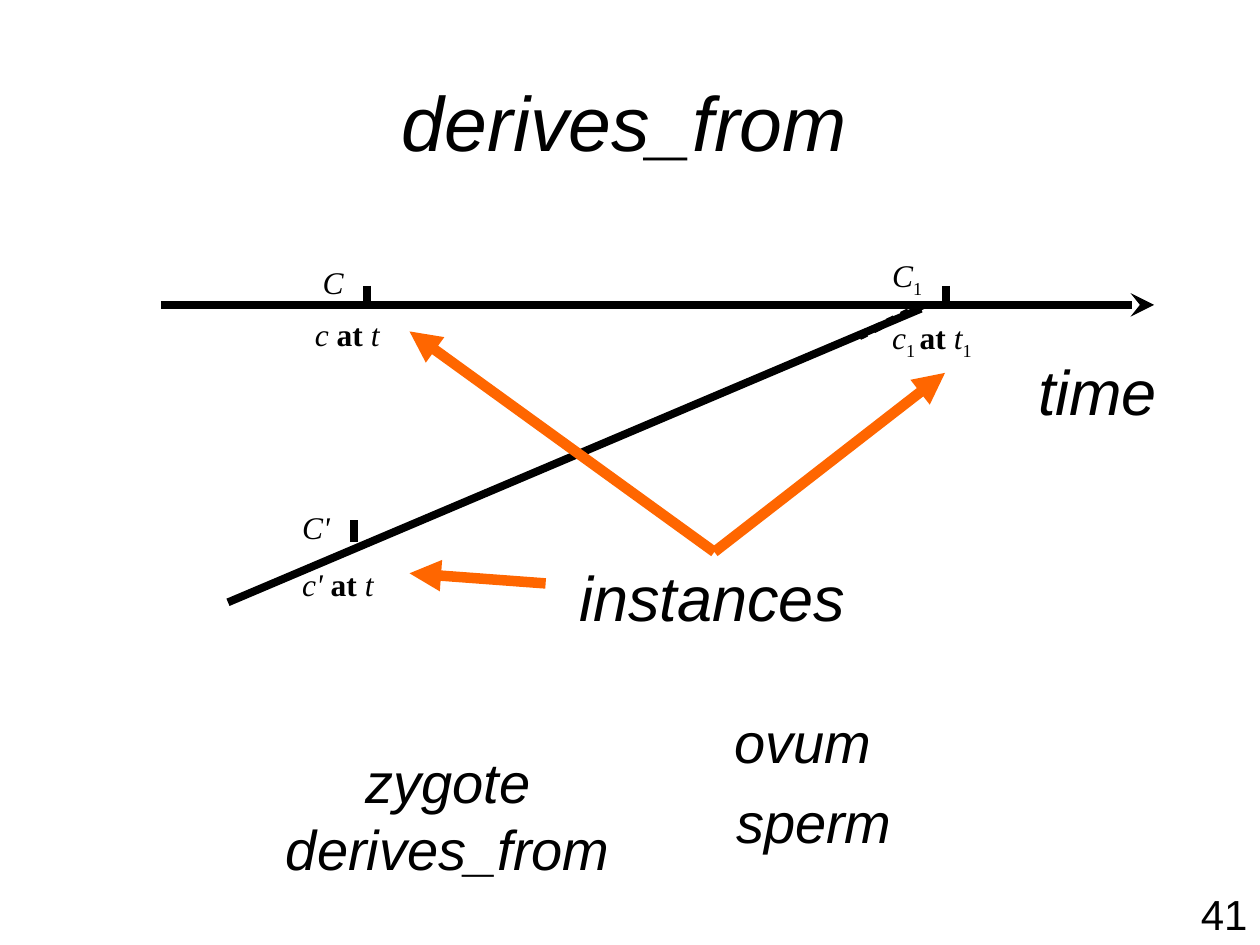
from lxml import etree
from pptx import Presentation
from pptx.dml.color import RGBColor
from pptx.enum.dml import MSO_LINE
from pptx.enum.shapes import MSO_CONNECTOR
from pptx.enum.text import MSO_ANCHOR, PP_ALIGN
from pptx.oxml.ns import qn
from pptx.util import Pt

STRAIGHT = MSO_CONNECTOR.STRAIGHT
DOTTED = MSO_LINE.ROUND_DOT
MIDDLE = MSO_ANCHOR.MIDDLE
LEFT, CENTER, RIGHT = PP_ALIGN.LEFT, PP_ALIGN.CENTER, PP_ALIGN.RIGHT
BLACK, ORANGE = "000000", "FF6600"
SERIF, SANS = "Times New Roman", "Arial"

deck = Presentation()
deck.slide_width, deck.slide_height = Pt(720), Pt(540)
slide = deck.slides.add_slide(deck.slide_layouts[5])


def add_line(start, end, color=BLACK, width=4.5, arrow=None):
    line = slide.shapes.add_connector(STRAIGHT, *[Pt(v) for v in start + end])
    line.line.color.rgb = RGBColor.from_string(color)
    line.line.width = Pt(width)
    properties = line._element.spPr
    if arrow:
        etree.SubElement(properties.find(qn("a:ln")), qn("a:tailEnd"), type=arrow)
    etree.SubElement(properties, qn("a:effectLst"))
    return line


def write(shape, paragraphs, size, font=SANS, align=LEFT, after=0, wrap=True):
    frame = shape.text_frame
    frame.word_wrap = wrap
    for index, pieces in enumerate(paragraphs):
        paragraph = frame.add_paragraph() if index else frame.paragraphs[0]
        paragraph.alignment = align
        paragraph.space_after = Pt(after)
        for text, style in pieces:
            run = paragraph.add_run()
            run.text = text
            run.font.name = font
            run.font.size = Pt(size)
            run.font.color.rgb = RGBColor.from_string(BLACK)
            run.font.italic = "i" in style
            run.font.bold = "b" in style
            if "s" in style:
                run.font._element.set("baseline", "-25000")


title = slide.shapes.title
title.left, title.top, title.width, title.height = Pt(30), Pt(24), Pt(666), Pt(90)
title.text_frame.vertical_anchor = MIDDLE
write(title, [[("derives_from ", "i")]], 44, align=CENTER)

add_line((92, 174.2), (659.5, 174.2), arrow="stealth")
add_line((130.3, 344.2), (526.3, 176.4))
merging = add_line((491, 192.2), (527.8, 174.2))
merging.line.dash_style = DOTTED

for x, y in [(209.5, 163.4), (540.7, 163.4), (202.3, 297.4)]:
    add_line((x, y), (x, y + 12.2))

instances_tip = (408.2, 315.4)
for start, end in [
    (instances_tip, (540, 213.1)),
    (instances_tip, (234, 189.4)),
    ((311.8, 333.4), (234, 327.6)),
]:
    add_line(start, end, ORANGE, 6, "triangle")

at = ("at ", "b")
moments = [
    ((174.2, 147.6, 76.3, 80.6), (5.76, 2.88), 8,
     [[(" C ", "i")], [("c ", "i"), at, ("t", "i")]]),
    ((504, 143.3, 86.4, 96.5), (5.76, 2.88), 11.2,
     [[("C", "i"), ("1 ", "s")],
      [("c", "i"), ("1 ", "s"), at, ("t", "i"), ("1", "s")]]),
    ((165.6, 286.6, 120.2, 61.9), (7.2, 3.6), 11.2,
     [[("C'", "i")], [("c' ", "i"), at, ("t", "i")]]),
]
for box, (side, edge), after, paragraphs in moments:
    moment = slide.shapes.add_textbox(*[Pt(v) for v in box])
    frame = moment.text_frame
    frame.margin_left = frame.margin_right = Pt(side)
    frame.margin_top = frame.margin_bottom = Pt(edge)
    write(moment, paragraphs, 18, SERIF, after=after)

labels = [
    ("time", (586.1, 198, 85, 50.4), 36, "i", LEFT, False),
    ("instances", (324, 315.4, 246.2, 50.4), 36, "i", LEFT, True),
    ("zygote derives_from", (107.3, 423.4, 297.4, 46.1), 32, "i", CENTER, True),
    ("ovum", (412.6, 401, 93.6, 46.1), 32, "i", LEFT, False),
    ("sperm", (413.3, 446.4, 103.7, 46.1), 32, "i", CENTER, False),
    ("41", (552.2, 504, 167.8, 36), 24, "", RIGHT, True),
]
for text, box, size, style, align, wrap in labels:
    label = slide.shapes.add_textbox(*[Pt(v) for v in box])
    write(label, [[(text, style)]], size, align=align, wrap=wrap)

deck.save("out.pptx")
